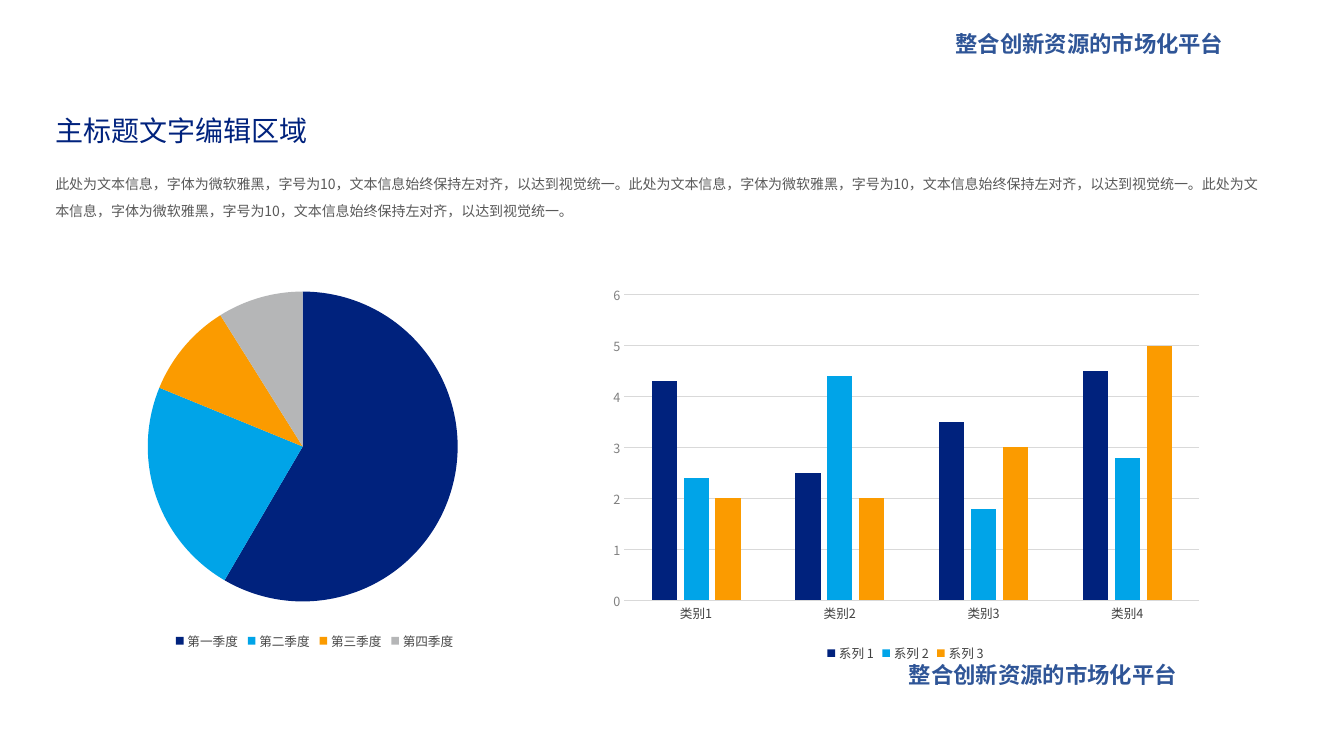
"""Build a slide with a title, a paragraph, a pie chart and a column chart."""
from dataclasses import dataclass

from lxml.etree import SubElement
from pptx import Presentation
from pptx.chart.data import CategoryChartData
from pptx.dml.color import RGBColor
from pptx.enum.chart import XL_CHART_TYPE, XL_LEGEND_POSITION, XL_TICK_MARK
from pptx.enum.text import MSO_AUTO_SIZE, PP_ALIGN
from pptx.oxml.ns import qn
from pptx.util import Pt


@dataclass(frozen=True)
class Theme:
    font: str = "Noto Sans CJK SC"
    navy: str = "00227D"
    sky: str = "00A4E8"
    orange: str = "FB9B00"
    silver: str = "B5B6B7"
    banner: str = "2F5597"
    body: str = "595959"
    label: str = "404040"
    pie_label: str = "474747"
    scale: str = "808080"
    grid: str = "D9D9D9"
    white: str = "FFFFFF"
    title_size: int = 20
    banner_size: int = 16
    body_size: int = 10
    label_size: int = 9


theme = Theme()
palette = [RGBColor.from_string(c) for c in (theme.navy, theme.sky, theme.orange, theme.silver)]


def style_font(font, size, color, bold=False):
    font.size = Pt(size)
    font.bold = bold
    font.color.rgb = RGBColor.from_string(color)
    font.name = theme.font
    SubElement(font._element, qn("a:ea")).set("typeface", theme.font)


def add_text(text, *, at, size, color, bold=False, spacing=1.0, align=None, fill=None):
    box = slide.shapes.add_textbox(*map(Pt, at))
    if fill:
        box.fill.solid()
        box.fill.fore_color.rgb = RGBColor.from_string(fill)
    frame = box.text_frame
    frame.word_wrap = True
    frame.auto_size = MSO_AUTO_SIZE.SHAPE_TO_FIT_TEXT
    paragraph = frame.paragraphs[0]
    paragraph.alignment = align
    paragraph.line_spacing = spacing
    run = paragraph.add_run()
    run.text = text
    style_font(run.font, size, color, bold)


deck = Presentation()
deck.slide_width, deck.slide_height = Pt(960), Pt(540)
slide = deck.slides.add_slide(deck.slide_layouts[6])

for banner_place in ((642.2, 468.7, 282.2, 28.1), (675.4, 18, 258.5, 28.1)):
    add_text("整合创新资源的市场化平台", at=banner_place, size=theme.banner_size,
             color=theme.banner, bold=True, align=PP_ALIGN.JUSTIFY, fill=theme.white)

category_data = CategoryChartData()
category_data.categories = [f"类别{n}" for n in range(1, 5)]
series_values = ((4.3, 2.5, 3.5, 4.5), (2.4, 4.4, 1.8, 2.8), (2, 2, 3, 5))
for number, values in enumerate(series_values, 1):
    category_data.add_series(f"系列 {number}", values)
columns = slide.shapes.add_chart(XL_CHART_TYPE.COLUMN_CLUSTERED, Pt(428.4), Pt(199.4),
                                 Pt(437), Pt(276.5), category_data).chart
column_plot = columns.plots[0]
column_plot.gap_width = 219
column_plot.overlap = -27
column_plot.vary_by_categories = False
for series, color in zip(column_plot.series, palette):
    series.format.fill.solid()
    series.format.fill.fore_color.rgb = color

categories, scale = columns.category_axis, columns.value_axis
for axis, color in ((categories, theme.label), (scale, theme.scale)):
    axis.major_tick_mark = axis.minor_tick_mark = XL_TICK_MARK.NONE
    style_font(axis.tick_labels.font, theme.label_size, color)
scale.minimum_scale, scale.maximum_scale, scale.major_unit = 0, 6, 1
scale.format.line.fill.background()
for line in (categories.format.line, scale.major_gridlines.format.line):
    line.color.rgb = RGBColor.from_string(theme.grid)
    line.width = Pt(0.75)

quarter_data = CategoryChartData()
quarter_data.categories = ["第一季度", "第二季度", "第三季度", "第四季度"]
quarter_data.add_series("Series 1", (59, 23, 10, 9))
pie = slide.shapes.add_chart(XL_CHART_TYPE.PIE, Pt(95), Pt(177.1),
                             Pt(242.6), Pt(311.8), quarter_data).chart
for index, color in enumerate(palette):
    slice_fill = pie.plots[0].series[0].points[index].format.fill
    slice_fill.solid()
    slice_fill.fore_color.rgb = color

for chart, color in ((columns, theme.label), (pie, theme.pie_label)):
    chart.has_title = False
    chart.has_legend = True
    chart.legend.position = XL_LEGEND_POSITION.BOTTOM
    chart.legend.include_in_layout = False
    style_font(chart.legend.font, theme.label_size, color)

placements = (
    (columns._chartSpace.chart.plotArea, 0, (0.04, 0.04, 0.94, 0.79)),
    (pie._chartSpace.chart.plotArea, 0, (0.04, 0.1, 0.92, 0.71)),
    (pie.legend._element, 1, (0.11, 0.87, 0.85, 0.06)),
)
for part, position, fractions in placements:
    for old_layout in part.findall(qn("c:layout")):
        part.remove(old_layout)
    layout = SubElement(part, qn("c:layout"))
    part.insert(position, layout)
    manual = SubElement(layout, qn("c:manualLayout"))
    settings = [("xMode", "edge"), ("yMode", "edge"), *zip("xywh", fractions)]
    if position == 0:
        settings.insert(0, ("layoutTarget", "inner"))
    for tag, value in settings:
        SubElement(manual, qn(f"c:{tag}")).set("val", str(value))

add_text("主标题文字编辑区域", at=(32.4, 74.9, 197.3, 33.8), size=theme.title_size,
         color=theme.navy, spacing=1.1)
sentence = "此处为文本信息，字体为微软雅黑，字号为10，文本信息始终保持左对齐，以达到视觉统一。"
add_text(sentence * 3, at=(32.4, 114.5, 877.7, 46.1), size=theme.body_size,
         color=theme.body, spacing=1.6)

deck.save("out.pptx")
